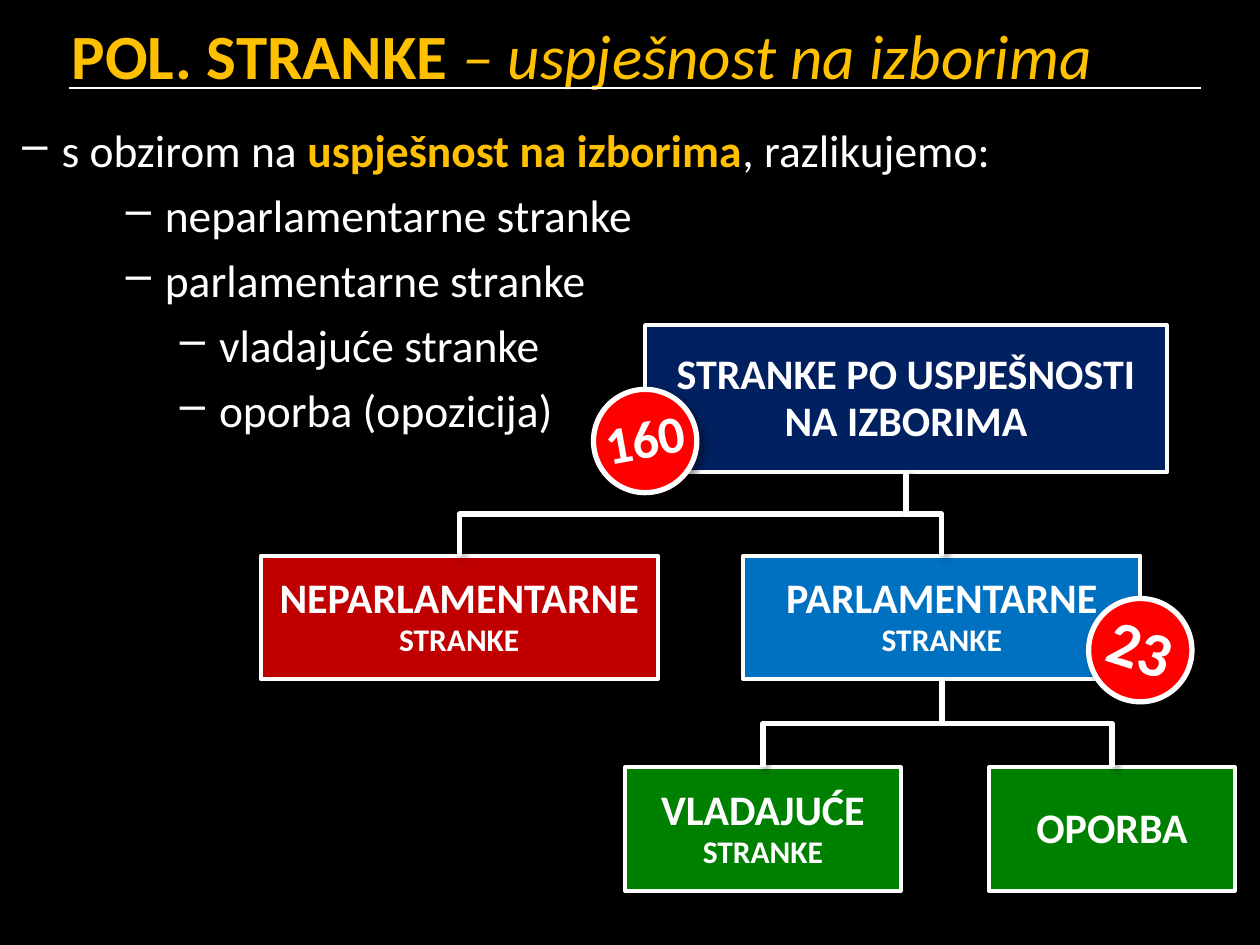
from dataclasses import dataclass

from lxml import etree
from pptx import Presentation
from pptx.dml.color import RGBColor
from pptx.enum.shapes import MSO_CONNECTOR, MSO_SHAPE
from pptx.enum.text import MSO_ANCHOR, PP_ALIGN
from pptx.oxml.ns import qn
from pptx.util import Inches, Pt

ELBOW, STRAIGHT = MSO_CONNECTOR.ELBOW, MSO_CONNECTOR.STRAIGHT
RECTANGLE, OVAL = MSO_SHAPE.RECTANGLE, MSO_SHAPE.OVAL
TOP, MIDDLE = MSO_ANCHOR.TOP, MSO_ANCHOR.MIDDLE
LEFT, CENTER = PP_ALIGN.LEFT, PP_ALIGN.CENTER
TOP_SITE, BOTTOM_SITE = 0, 2


@dataclass(frozen=True)
class Theme:
    font: str = "Calibri"
    background: str = "000000"
    text: str = "FFFFFF"
    accent: str = "FFC000"
    root: str = "002060"
    outside: str = "C00000"
    inside: str = "0070C0"
    leaf: str = "008000"
    badge: str = "FF0000"
    title_size: int = 36
    body_size: int = 26
    box_size: int = 24
    small_size: int = 18


THEME = Theme()


def rgb(value):
    return RGBColor.from_string(value)


def add_run(paragraph, text, size, color=THEME.text, **styles):
    run = paragraph.add_run()
    run.text = text
    run.font.color.rgb = rgb(color)
    formats = {"name": THEME.font, "size": Pt(size), **styles}
    for attribute, value in formats.items():
        setattr(run.font, attribute, value)


def set_shadow(shape):
    effects = etree.SubElement(shape._element.spPr, qn("a:effectLst"))
    shadow = etree.SubElement(effects, qn("a:outerShdw"), blurRad=str(Pt(4)),
                              dist=str(Pt(3)), dir="2700000", rotWithShape="0")
    color = etree.SubElement(shadow, qn("a:srgbClr"), val="000000")
    etree.SubElement(color, qn("a:alpha"), val="40000")


def set_line(shape, width):
    shape.line.color.rgb = rgb(THEME.text)
    shape.line.width = Pt(width)


def add_title(slide, box):
    title = slide.shapes.title
    title.left, title.top, title.width, title.height = map(Inches, box)
    title.text_frame.vertical_anchor = TOP
    paragraph = title.text_frame.paragraphs[0]
    paragraph.alignment = LEFT
    add_run(paragraph, "POL. STRANKE ", THEME.title_size, THEME.accent, bold=True)
    add_run(paragraph, "– uspješnost na izborima", THEME.title_size, THEME.accent,
            bold=False, italic=True)
    rule = slide.shapes.add_connector(STRAIGHT, Inches(0.55), Inches(0.7),
                                      Inches(9.53), Inches(0.7))
    set_line(rule, 1)
    etree.SubElement(rule._element.spPr, qn("a:effectLst"))


def set_dash(paragraph, level, indent):
    properties = paragraph._p.get_or_add_pPr()
    properties.set("marL", str(Inches(indent)))
    properties.set("indent", str(Inches(-0.31)))
    color = etree.SubElement(properties, qn("a:buClr"))
    etree.SubElement(color, qn("a:srgbClr"), val=THEME.text)
    etree.SubElement(properties, qn("a:buChar"), char="–")
    paragraph.level = level


def add_outline(slide, box):
    frame = slide.shapes.add_textbox(*map(Inches, box)).text_frame
    frame.word_wrap = True
    intro = frame.paragraphs[0]
    set_dash(intro, 0, 0.31)
    add_run(intro, "s obzirom na ", THEME.body_size)
    add_run(intro, "uspješnost na izborima", THEME.body_size, THEME.accent, bold=True)
    add_run(intro, ", razlikujemo:", THEME.body_size)
    indents = {1: 1.13, 2: 1.56}
    for level, text in ((1, "neparlamentarne stranke"), (1, "parlamentarne stranke"),
                        (2, "vladajuće stranke"), (2, "oporba (opozicija)")):
        item = frame.add_paragraph()
        set_dash(item, level, indents[level])
        item.space_before = Pt(6)
        add_run(item, text, THEME.body_size)


def add_label_shape(slide, kind, box, fill, line_width, runs, wrap=True):
    shape = slide.shapes.add_shape(kind, *map(Inches, box))
    shape.fill.solid()
    shape.fill.fore_color.rgb = rgb(fill)
    set_line(shape, line_width)
    set_shadow(shape)
    shape.text_frame.word_wrap = wrap
    shape.text_frame.vertical_anchor = MIDDLE
    paragraph = shape.text_frame.paragraphs[0]
    paragraph.alignment = CENTER
    paragraph.line_spacing = 0.93
    for text, size in runs:
        add_run(paragraph, text, size, bold=True)
    return shape


def add_branch(slide, parent, child):
    start_x, start_y = parent.left + parent.width // 2, parent.top + parent.height
    end_x, end_y = child.left + child.width // 2, child.top
    branch = slide.shapes.add_connector(ELBOW, start_x, start_y, end_x, end_y)
    branch.begin_connect(parent, BOTTOM_SITE)
    branch.end_connect(child, TOP_SITE)
    drop, reach = end_y - start_y, abs(end_x - start_x)
    branch.left = (start_x + end_x - drop) // 2
    branch.top = (start_y + end_y - reach) // 2
    branch.width, branch.height = drop, reach
    goes_right = end_x > start_x
    transform = branch._element.spPr.find(qn("a:xfrm"))
    turn = {"rot": "16200000" if goes_right else "5400000",
            "flipH": "1" if goes_right else "0", "flipV": "0"}
    for attribute, value in turn.items():
        transform.set(attribute, value)
    set_line(branch, 3)
    set_shadow(branch)


def add_badge(slide, left, top, number, size, rotation):
    badge = add_label_shape(slide, OVAL, (left, top, 0.82, 0.82), THEME.badge, 3,
                            [(number, size)], wrap=False)
    badge.rotation = rotation


def add_party_tree(slide, box):
    left, top, width, height = box
    middle_top, leaf_top = top + 1.83, top + height - 0.98
    big, small = THEME.box_size, ("STRANKE", THEME.small_size)

    def add_party(party_box, fill, *runs):
        return add_label_shape(slide, RECTANGLE, party_box, fill, 2.25, runs)

    outside = add_party((left, middle_top, 3.15, 0.98), THEME.outside,
                        ("NEPARLAMENTARNE ", big), small)
    inside = add_party((left + 3.83, middle_top, 3.15, 0.98), THEME.inside,
                       ("PARLAMENTARNE ", big), small)
    root = add_party((left + 3.05, top, 4.14, 1.17), THEME.root,
                     ("STRANKE PO USPJEŠNOSTI NA IZBORIMA", big))
    ruling = add_party((left + 2.89, leaf_top, 2.19, 0.98), THEME.leaf,
                       ("VLADAJUĆE ", big), small)
    opposition = add_party((left + width - 1.95, leaf_top, 1.95, 0.98), THEME.leaf,
                           ("OPORBA", big))
    for parent, child in ((root, outside), (root, inside),
                          (inside, ruling), (inside, opposition)):
        add_branch(slide, parent, child)
    add_badge(slide, left + 2.64, top + 0.51, "160", 30, 349.6)
    add_badge(slide, left + 6.57, top + 2.17, "23", 36, 17.6)


def main():
    presentation = Presentation()
    presentation.slide_width, presentation.slide_height = Inches(10), Inches(7.5)
    slide = presentation.slides.add_slide(presentation.slide_layouts[5])
    slide.background.fill.solid()
    slide.background.fill.fore_color.rgb = rgb(THEME.background)
    add_title(slide, (0.47, 0.08, 9.53, 0.63))
    add_outline(slide, (0.08, 0.92, 9.69, 2.66))
    add_party_tree(slide, (2.07, 2.58, 7.73, 4.49))
    presentation.save("out.pptx")


if __name__ == "__main__":
    main()
